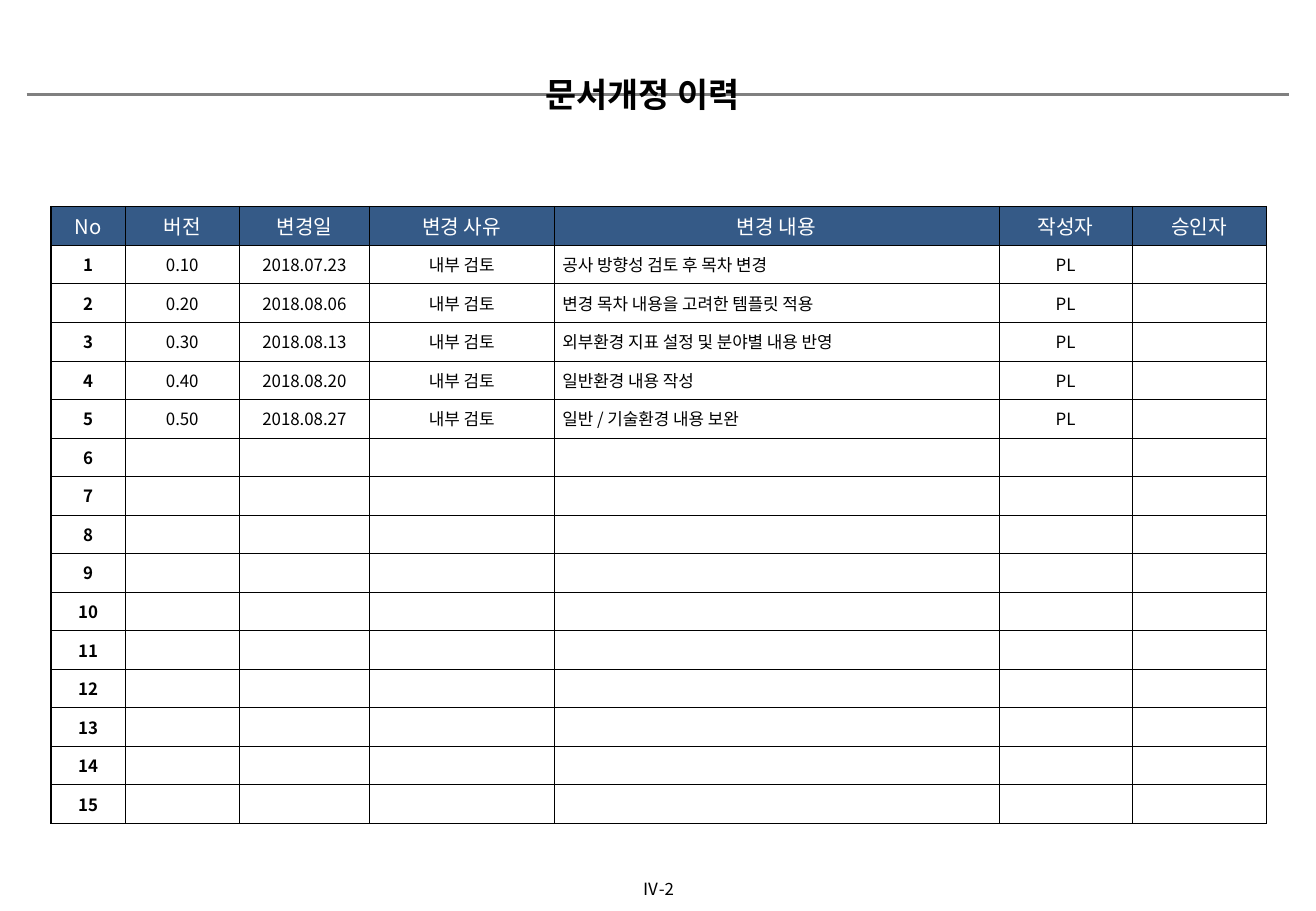
from lxml.etree import SubElement
from pptx import Presentation
from pptx.dml.color import RGBColor
from pptx.enum.shapes import MSO_CONNECTOR
from pptx.enum.text import MSO_ANCHOR, PP_ALIGN
from pptx.oxml.ns import qn
from pptx.util import Inches, Pt

FONT = "Noto Sans CJK KR"
COLORS = {"text": "000000", "header": "355A87", "header_text": "FFFFFF",
          "rule": "808080", "border": "000000"}
WIDTH, HEIGHT = 10.83, 7.5
HEADINGS = ["No", "버전", "변경일", "변경 사유", "변경 내용", "작성자", "승인자"]
COLUMN_WIDTHS = [0.61, 0.94, 1.07, 1.52, 3.66, 1.1, 1.1]
REVISIONS = [
    ("0.10", "2018.07.23", "공사 방향성 검토 후 목차 변경"),
    ("0.20", "2018.08.06", "변경 목차 내용을 고려한 템플릿 적용"),
    ("0.30", "2018.08.13", "외부환경 지표 설정 및 분야별 내용 반영"),
    ("0.40", "2018.08.20", "일반환경 내용 작성"),
    ("0.50", "2018.08.27", "일반 / 기술환경 내용 보완"),
]
REVISION_ROWS = 15
CONTENT_COLUMN = HEADINGS.index("변경 내용")


def write(frame, text, size=10, color="text", bold=False, align=PP_ALIGN.CENTER):
    """Write one paragraph; an empty one still keeps its font size."""
    paragraph = frame.paragraphs[0]
    paragraph.alignment = align
    if not text:
        SubElement(paragraph._p, qn("a:endParaRPr"), sz=str(size * 100))
        return
    run = paragraph.add_run()
    run.text = text
    run.font.size = Pt(size)
    run.font.bold = bold
    run.font.color.rgb = RGBColor.from_string(COLORS[color])
    run.font.name = FONT
    SubElement(run.font._element, qn("a:ea"), typeface=FONT)


def draw_borders(cell, widths):
    """Give a cell its left, right, top and bottom lines, widths in points."""
    properties = cell._tc.get_or_add_tcPr()
    for side, width in zip("LRTB", widths):
        line = SubElement(properties, qn(f"a:ln{side}"), w=str(Pt(width)))
        fill = SubElement(line, qn("a:solidFill"))
        SubElement(fill, qn("a:srgbClr"), val=COLORS["border"])


prs = Presentation()
prs.slide_width, prs.slide_height = Inches(WIDTH), Inches(HEIGHT)
slide = prs.slides.add_slide(prs.slide_layouts[6])

# Title rule
rule_margin, rule_y = Inches(0.22), Inches(0.78)
title_rule = slide.shapes.add_connector(
    MSO_CONNECTOR.STRAIGHT, rule_margin, rule_y, prs.slide_width - rule_margin, rule_y)
title_rule.line.color.rgb = RGBColor.from_string(COLORS["rule"])
title_rule.line.width = Pt(1.5)
SubElement(title_rule._element.spPr, qn("a:effectLst"))

# Page number and title
for text, box, style in [
    ("Ⅳ-2", (5.17, 7.18, 0.49, 0.27), {}),
    ("문서개정 이력", (4.39, 0.55, 1.98, 0.44),
     {"size": 20, "bold": True, "align": PP_ALIGN.LEFT}),
]:
    frame = slide.shapes.add_textbox(*map(Inches, box)).text_frame
    frame.word_wrap = True
    frame.vertical_anchor = MSO_ANCHOR.MIDDLE
    if not style:
        frame.margin_left = frame.margin_right = Inches(0.06)
    write(frame, text, **style)

# Revision history
rows = [HEADINGS]
for number in range(1, REVISION_ROWS + 1):
    if number <= len(REVISIONS):
        version, date, content = REVISIONS[number - 1]
        rows.append([str(number), version, date, "내부 검토", content, "PL", ""])
    else:
        rows.append([str(number)] + [""] * (len(HEADINGS) - 1))

history = slide.shapes.add_table(
    len(rows), len(HEADINGS), Inches(0.42), Inches(1.7),
    Inches(sum(COLUMN_WIDTHS)), Inches(5.08)).table
history.horz_banding = False
for column, width in zip(history.columns, COLUMN_WIDTHS):
    column.width = Inches(width)

last_row, last_column = len(rows) - 1, len(HEADINGS) - 1
for r, values in enumerate(rows):
    for c, value in enumerate(values):
        cell = history.cell(r, c)
        cell.vertical_anchor = MSO_ANCHOR.MIDDLE
        cell.margin_left = cell.margin_right = Inches(0.04)
        cell.margin_top = cell.margin_bottom = Inches(0.03)
        outer_edges = (c == 0, c == last_column, r == 0, r == last_row)
        draw_borders(cell, [0.75 if outer else 0.25 for outer in outer_edges])
        if r == 0:
            cell.fill.solid()
            cell.fill.fore_color.rgb = RGBColor.from_string(COLORS["header"])
            write(cell.text_frame, value, size=12, color="header_text")
            continue
        cell.fill.background()
        if c == CONTENT_COLUMN:
            cell.margin_left = Inches(0.07)
            write(cell.text_frame, value, align=PP_ALIGN.LEFT)
        else:
            write(cell.text_frame, value, bold=c == 0)

prs.save("out.pptx")
